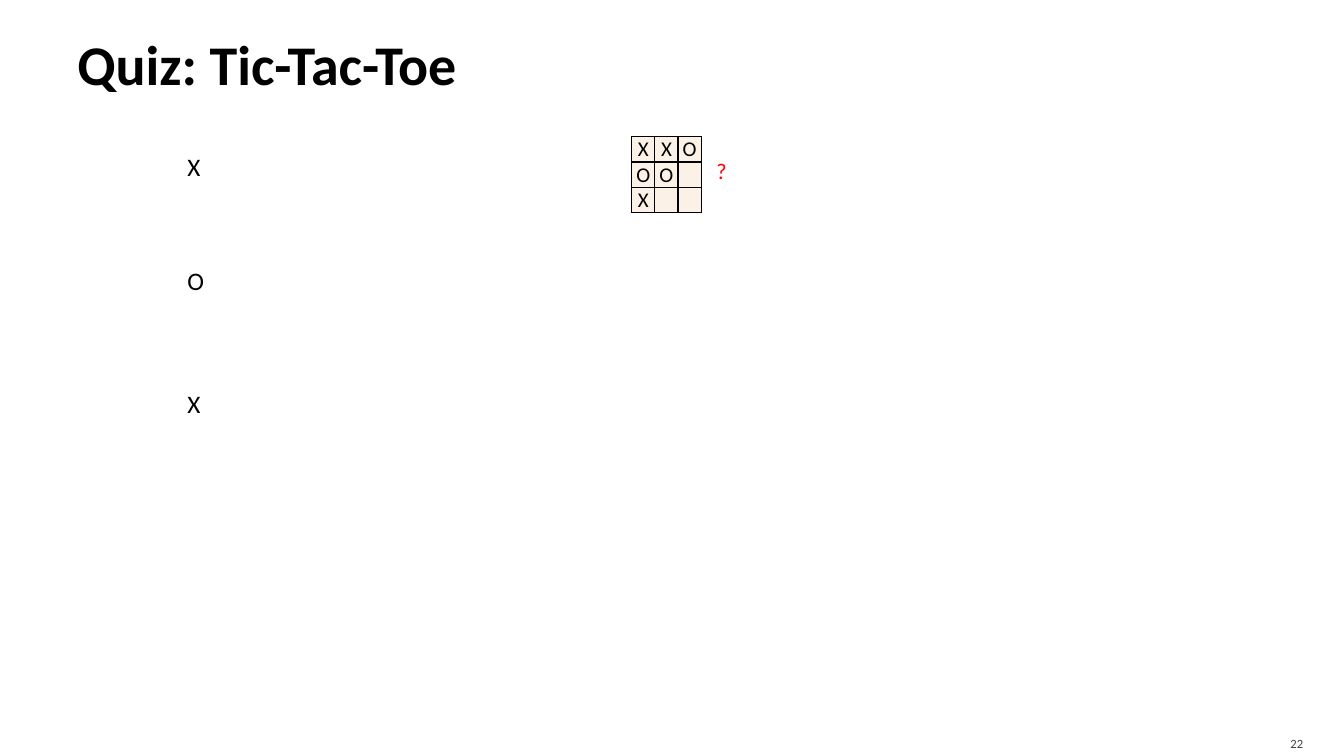
from lxml.etree import SubElement
from pptx import Presentation
from pptx.dml.color import RGBColor
from pptx.enum.text import MSO_ANCHOR, MSO_AUTO_SIZE, PP_ALIGN
from pptx.oxml.ns import qn
from pptx.util import Inches, Pt

BLACK = RGBColor(0x00, 0x00, 0x00)
RED = RGBColor(0xFF, 0x00, 0x00)
GRAY = RGBColor(0x41, 0x41, 0x41)
CREAM = RGBColor(0xFC, 0xF1, 0xE6)

W, H = Inches(13.33), Inches(7.5)
CELL_W, CELL_H = Inches(0.23), Inches(0.25)
BOARD = ["XXO", "OO ", "X  "]
# Player to move and the top of its row, as a share of the height
TURNS = [("X", 0.193), ("O", 0.344), ("X", 0.507)]
SIDES = ("margin_left", "margin_top", "margin_right", "margin_bottom")
NO_INSETS = (0, 0, 0, 0)
INSETS = (0.1, 0.05, 0.1, 0.05)


def set_attrs(obj, values):
    for name, value in values.items():
        setattr(obj, name, value)


def set_insets(obj, insets):
    set_attrs(obj, {side: Inches(n) for side, n in zip(SIDES, insets)})


def write(p, text, size, color=BLACK, bold=False, align=PP_ALIGN.LEFT):
    p.alignment = align
    r = p.add_run()
    r.text = text
    set_attrs(r.font, {"name": "Calibri", "size": Pt(size), "bold": bold})
    r.font.color.rgb = color


def add_title(s, text):
    sp = s.shapes.title
    set_attrs(sp, {"left": int(W * 0.05), "top": int(H * 0.011),
                   "width": int(W * 0.9), "height": int(H * 0.144)})
    tf = sp.text_frame
    set_attrs(tf, {"word_wrap": True, "auto_size": MSO_AUTO_SIZE.NONE,
                   "vertical_anchor": MSO_ANCHOR.MIDDLE})
    set_insets(tf, (0.1, 0.05, 0.05, 0.05))
    write(tf.paragraphs[0], text, 40, bold=True)


def add_label(s, text, box, size, insets=INSETS, anchor=MSO_ANCHOR.TOP,
              wrap=True, **style):
    """Text box; left and width are shares of W, top and height of H."""
    x, y, w, h = box
    sp = s.shapes.add_textbox(int(W * x), int(H * y), int(W * w), int(H * h))
    tf = sp.text_frame
    set_attrs(tf, {"word_wrap": wrap, "vertical_anchor": anchor})
    set_insets(tf, insets)
    write(tf.paragraphs[0], text, size, **style)


def add_borders(cell):
    tc_pr = cell._tc.get_or_add_tcPr()
    for side in ("a:lnL", "a:lnR", "a:lnT", "a:lnB"):
        ln = SubElement(tc_pr, qn(side), w=str(Pt(1)))
        fill = SubElement(ln, qn("a:solidFill"))
        SubElement(fill, qn("a:srgbClr"), val=str(BLACK))


def format_cell(cell, mark):
    set_insets(cell, NO_INSETS)
    cell.vertical_anchor = MSO_ANCHOR.MIDDLE
    p = cell.text_frame.paragraphs[0]
    if mark.strip():
        write(p, mark, 15, align=PP_ALIGN.CENTER)
    else:
        # Keeps an empty cell as low as a marked one
        SubElement(p._p, qn("a:endParaRPr"), sz="1500")
    add_borders(cell)
    cell.fill.solid()
    cell.fill.fore_color.rgb = CREAM


def add_board(s, rows, x, y):
    n = len(rows)
    table = s.shapes.add_table(n, n, int(W * x), int(H * y),
                               CELL_W * n, CELL_H * n).table
    set_attrs(table, {"first_row": False, "horz_banding": False})
    for i, marks in enumerate(rows):
        table.rows[i].height = CELL_H
        table.columns[i].width = CELL_W
        for j, mark in enumerate(marks):
            format_cell(table.cell(i, j), mark)


def main():
    prs = Presentation()
    set_attrs(prs, {"slide_width": W, "slide_height": H})
    s = prs.slides.add_slide(prs.slide_layouts[5])

    # Title and page number
    add_title(s, "Quiz: Tic-Tac-Toe")
    add_label(s, "22", (0.897, 0.96, 0.08, 0.04), 9, (0.1, 0.05, 0.1, 0),
              MSO_ANCHOR.MIDDLE, color=GRAY, align=PP_ALIGN.RIGHT)

    # Board and its unknown value
    add_board(s, BOARD, 0.47, 0.181)
    add_label(s, "?", (0.533, 0.208, 0.006, 0.036), 16, NO_INSETS,
              MSO_ANCHOR.MIDDLE, wrap=False, color=RED,
              align=PP_ALIGN.CENTER)

    # Player to move at each level
    for player, top in TURNS:
        add_label(s, player, (0.132, top, 0.028, 0.053), 18)

    prs.save("out.pptx")


if __name__ == "__main__":
    main()
